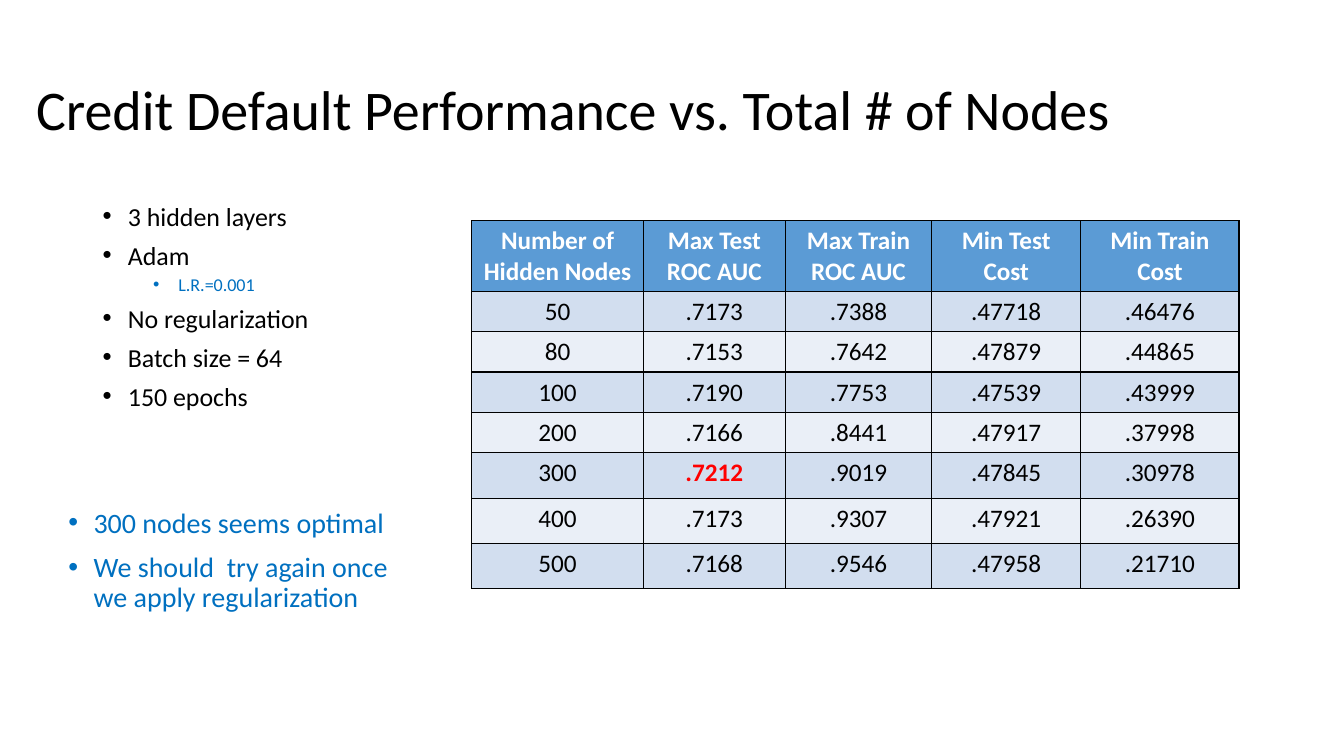
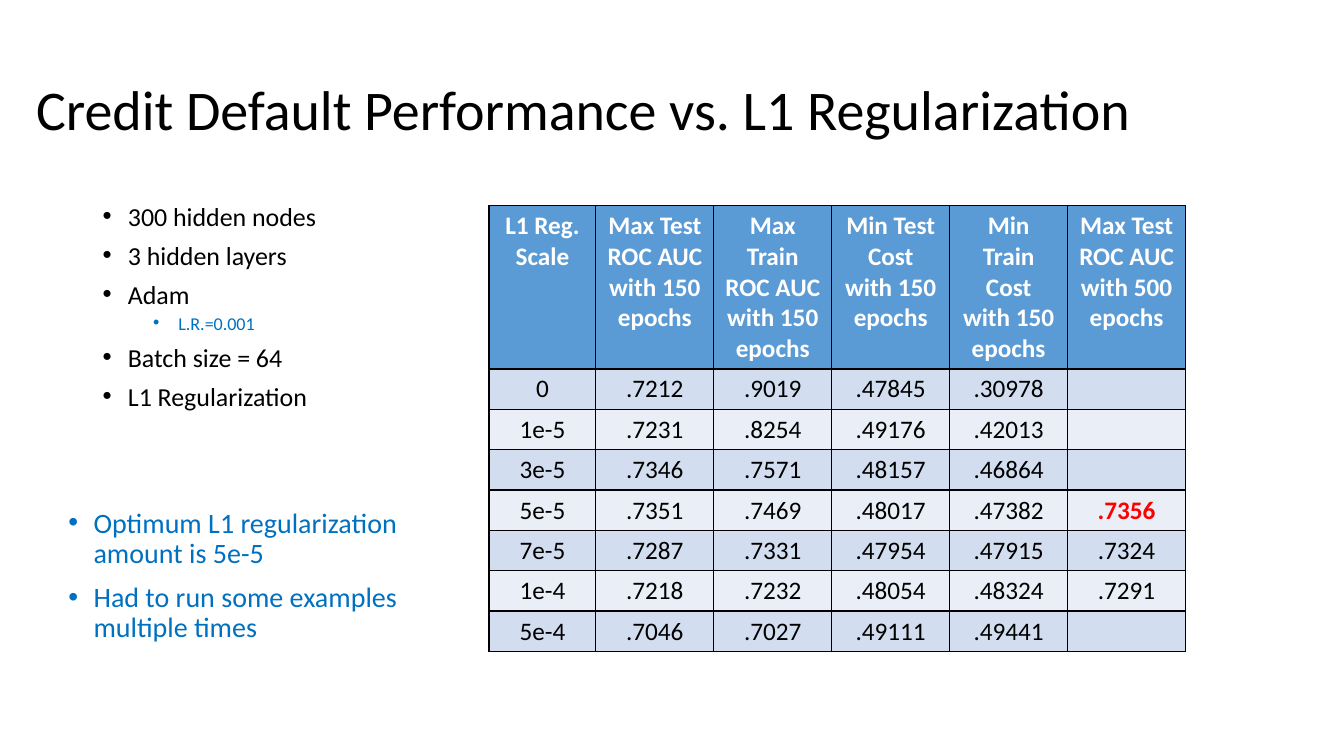
from dataclasses import dataclass

from lxml import etree
from pptx import Presentation
from pptx.dml.color import RGBColor
from pptx.enum.text import MSO_ANCHOR, PP_ALIGN
from pptx.oxml.ns import qn
from pptx.util import Inches, Pt

CENTER = PP_ALIGN.CENTER
TOP, MIDDLE = MSO_ANCHOR.TOP, MSO_ANCHOR.MIDDLE


@dataclass(frozen=True)
class Theme:
    font: str = "Calibri"
    bullet_font: str = "Arial"
    text: str = "000000"
    accent: str = "0070C0"
    best: str = "FF0000"
    header_text: str = "FFFFFF"
    header_fill: str = "5B9BD5"
    bands: tuple = ("D2DEEF", "EAEFF7")
    border: str = "000000"
    title_size: float = 40
    setting_size: float = 18.5
    detail_size: float = 12.9
    finding_size: float = 20
    table_size: float = 18


THEME = Theme()

# Boxes are left, top, width, height in inches.
TITLE_BOX = (0.26, 0.39, 11.5, 1.45)
SETTINGS_BOX = (0.92, 2, 3.39, 2.24)
FINDINGS_BOX = (0.58, 5, 3.5, 2.27)

# Settings are (level, text) pairs; best is the highlighted table value.
SLIDES = [
    {
        "title": "Credit Default Performance vs. Total # of Nodes",
        "settings": [
            (0, "3 hidden layers"),
            (0, "Adam"),
            (1, "L.R.=0.001"),
            (0, "No regularization"),
            (0, "Batch size = 64"),
            (0, "150 epochs"),
        ],
        "findings": [
            "300 nodes seems optimal",
            "We should  try again once we apply regularization",
        ],
        "table_at": (4.68, 2.19),
        "columns": [1.7, 1.41, 1.45, 1.48, 1.57],
        "row_heights": [0.7] + [0.4] * 4 + [0.45] * 3,
        "best": ".7212",
        "rows": [
            ("Number of Hidden Nodes", "Max Test ROC AUC", "Max Train ROC AUC",
             "Min Test Cost", "Min Train Cost"),
            ("50", ".7173", ".7388", ".47718", ".46476"),
            ("80", ".7153", ".7642", ".47879", ".44865"),
            ("100", ".7190", ".7753", ".47539", ".43999"),
            ("200", ".7166", ".8441", ".47917", ".37998"),
            ("300", ".7212", ".9019", ".47845", ".30978"),
            ("400", ".7173", ".9307", ".47921", ".26390"),
            ("500", ".7168", ".9546", ".47958", ".21710"),
        ],
    },
    {
        "title": "Credit Default Performance vs. L1 Regularization",
        "settings": [
            (0, "300 hidden nodes"),
            (0, "3 hidden layers"),
            (0, "Adam"),
            (1, "L.R.=0.001"),
            (0, "Batch size = 64"),
            (0, "L1 Regularization"),
        ],
        "findings": [
            "Optimum L1 regularization amount is 5e-5",
            "Had to run some examples multiple times",
        ],
        "table_at": (4.85, 2.04),
        "columns": [1.06] + [1.17] * 5,
        "row_heights": [1.62] + [0.4] * 7,
        "best": ".7356",
        "rows": [
            ("L1 Reg. Scale", "Max Test ROC AUC with 150 epochs",
             "Max Train ROC AUC with 150 epochs", "Min Test Cost with 150 epochs",
             "Min Train Cost with 150 epochs", "Max Test ROC AUC with 500 epochs"),
            ("0", ".7212", ".9019", ".47845", ".30978", ""),
            ("1e-5", ".7231", ".8254", ".49176", ".42013", ""),
            ("3e-5", ".7346", ".7571", ".48157", ".46864", ""),
            ("5e-5", ".7351", ".7469", ".48017", ".47382", ".7356"),
            ("7e-5", ".7287", ".7331", ".47954", ".47915", ".7324"),
            ("1e-4", ".7218", ".7232", ".48054", ".48324", ".7291"),
            ("5e-4", ".7046", ".7027", ".49111", ".49441", ""),
        ],
    },
]


def add_bullet(paragraph, indent):
    properties = paragraph._p.get_or_add_pPr()
    properties.set("marL", str(Inches(indent)))
    properties.set("indent", str(Inches(-0.25)))
    etree.SubElement(properties, qn("a:buFont"), typeface=THEME.bullet_font)
    etree.SubElement(properties, qn("a:buChar"), char="•")


def write(paragraph, text, *, size, color=THEME.text, bold=False, align=None,
          line_spacing=None, space_before=None, level=0, bullet_indent=None):
    paragraph.level = level
    if bullet_indent is not None:
        add_bullet(paragraph, bullet_indent)
    if align is not None:
        paragraph.alignment = align
    if line_spacing is not None:
        paragraph.line_spacing = line_spacing
    if space_before is not None:
        paragraph.space_before = Pt(space_before)
    run = paragraph.add_run()
    run.text = text
    run.font.name = THEME.font
    run.font.size = Pt(size)
    run.font.bold = bold
    run.font.color.rgb = RGBColor.from_string(color)


def add_text(slide, box, items, anchor=TOP):
    """Add a text box; items are (text, format) pairs, one a paragraph."""
    frame = slide.shapes.add_textbox(*map(Inches, box)).text_frame
    frame.word_wrap = True
    frame.vertical_anchor = anchor
    for index, (text, style) in enumerate(items):
        paragraph = frame.add_paragraph() if index else frame.paragraphs[0]
        if index == 0:
            style = {**style, "space_before": 0}
        write(paragraph, text, **style)


def setting_style(level):
    return {
        "size": THEME.detail_size if level else THEME.setting_size,
        "color": THEME.accent if level else THEME.text,
        "line_spacing": 0.8,
        "space_before": 5 if level else 10,
        "level": level,
        "bullet_indent": 0.25 + 0.5 * level,
    }


def add_borders(cell):
    properties = cell._tc.get_or_add_tcPr()
    for index, side in enumerate(("lnL", "lnR", "lnT", "lnB")):
        line = etree.Element(qn(f"a:{side}"), w=str(Pt(1)))
        fill = etree.SubElement(line, qn("a:solidFill"))
        etree.SubElement(fill, qn("a:srgbClr"), val=THEME.border)
        properties.insert(index, line)


def add_results_table(slide, content):
    rows, columns, heights = (content[key] for key in ("rows", "columns", "row_heights"))
    box = (*content["table_at"], sum(columns), sum(heights))
    table = slide.shapes.add_table(len(rows), len(columns), *map(Inches, box)).table
    for column, width in zip(table.columns, columns):
        column.width = Inches(width)
    for row, height in zip(table.rows, heights):
        row.height = Inches(height)
    for row_index, values in enumerate(rows):
        header = row_index == 0
        fill = THEME.header_fill if header else THEME.bands[(row_index - 1) % 2]
        for column_index, value in enumerate(values):
            cell = table.cell(row_index, column_index)
            cell.fill.solid()
            cell.fill.fore_color.rgb = RGBColor.from_string(fill)
            add_borders(cell)
            if not value:
                continue
            best = value == content["best"]
            color = THEME.header_text if header else THEME.best if best else THEME.text
            write(cell.text_frame.paragraphs[0], value, size=THEME.table_size,
                  color=color, bold=header or best, align=CENTER)


def build_slide(presentation, content):
    slide = presentation.slides.add_slide(presentation.slide_layouts[6])
    title_style = {"size": THEME.title_size, "line_spacing": 0.9}
    finding_style = {"size": THEME.finding_size, "color": THEME.accent,
                     "line_spacing": 0.9, "space_before": 10, "bullet_indent": 0.25}
    add_text(slide, TITLE_BOX, [(content["title"], title_style)], anchor=MIDDLE)
    add_text(slide, SETTINGS_BOX,
             [(text, setting_style(level)) for level, text in content["settings"]])
    add_results_table(slide, content)
    add_text(slide, FINDINGS_BOX, [(text, finding_style) for text in content["findings"]])


def main():
    presentation = Presentation()
    presentation.slide_width = Inches(13.33)
    presentation.slide_height = Inches(7.5)
    for content in SLIDES:
        build_slide(presentation, content)
    presentation.save("out.pptx")


if __name__ == "__main__":
    main()
